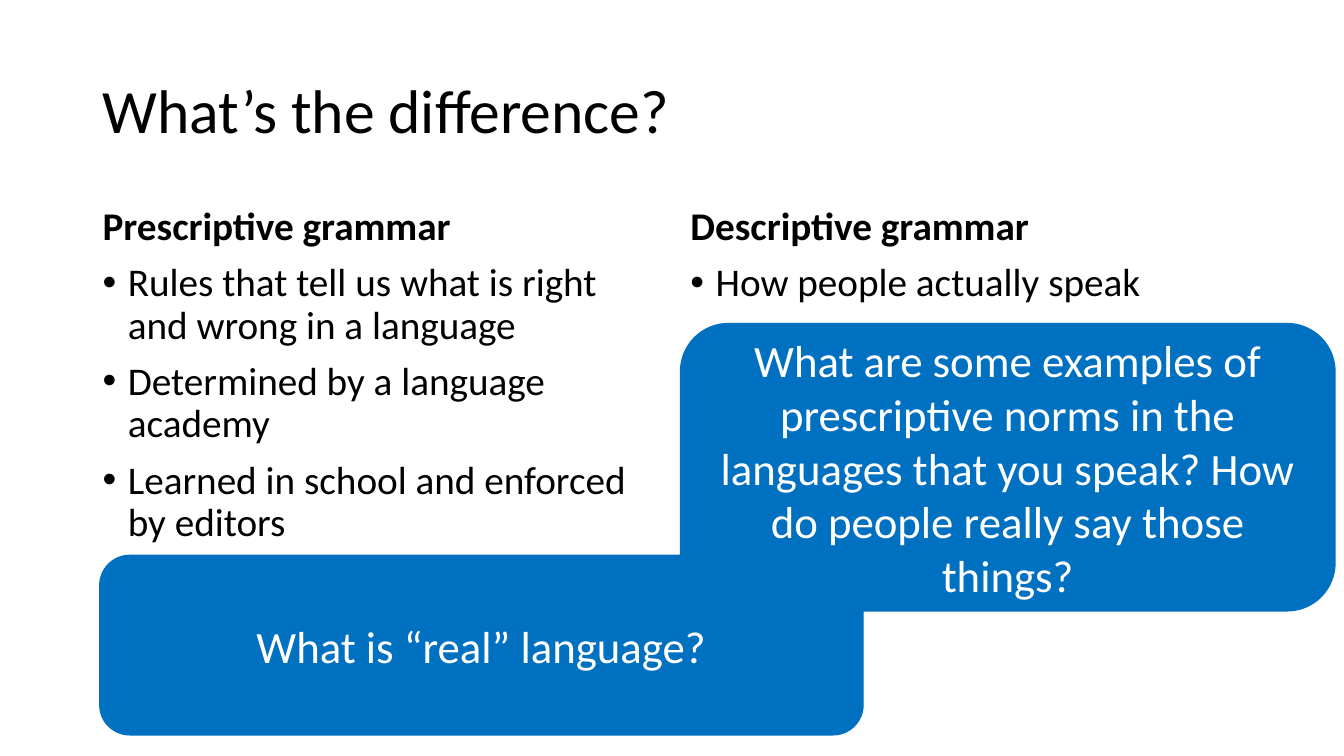
"""Build the slide comparing prescriptive and descriptive grammar."""
from dataclasses import dataclass

from lxml import etree
from pptx import Presentation
from pptx.dml.color import RGBColor
from pptx.enum import shapes, text
from pptx.oxml import ns
from pptx.slide import Slide
from pptx.util import Inches, Pt

BLACK = RGBColor(0x00, 0x00, 0x00)
WHITE = RGBColor(0xFF, 0xFF, 0xFF)
BLUE = RGBColor(0x00, 0x70, 0xC0)
FONT = "Calibri"
LINE_SPACING = 0.9
BULLET_INDENT = Inches(0.25)


@dataclass(frozen=True)
class Box:
    left: float
    top: float
    width: float
    height: float

    def lengths(self) -> tuple:
        return tuple(Inches(n) for n in (self.left, self.top, self.width, self.height))


@dataclass(frozen=True)
class Column:
    box: Box
    heading: str
    points: tuple[str, ...]


@dataclass(frozen=True)
class Question:
    box: Box
    wording: str


TITLE = "What’s the difference?"
TITLE_BOX = Box(0.92, 0.4, 11.5, 1.45)
COLUMNS = (
    Column(Box(0.92, 2, 5.67, 4.76), "Prescriptive grammar", (
        "Rules that tell us what is right and wrong in a language",
        "Determined by a language academy",
        "Learned in school and enforced by editors",
    )),
    Column(Box(6.75, 2, 5.67, 4.76), "Descriptive grammar", (
        "How people actually speak",
    )),
)
QUESTIONS = (
    Question(Box(6.75, 3.21, 6.49, 2.85),
             "What are some examples of prescriptive norms in the languages "
             "that you speak? How do people really say those things?"),
    Question(Box(0.99, 5.51, 7.57, 1.78), "What is “real” language?"),
)


def set_font(paragraph, size: int, color: RGBColor, bold: bool = False) -> None:
    font = paragraph.font
    font.name = FONT
    font.size = Pt(size)
    font.bold = bold
    font.color.rgb = color


def add_bullet(paragraph) -> None:
    properties = paragraph._p.get_or_add_pPr()
    properties.set("marL", str(BULLET_INDENT))
    properties.set("indent", str(-BULLET_INDENT))
    etree.SubElement(properties, ns.qn("a:buFont"), typeface="Arial")
    etree.SubElement(properties, ns.qn("a:buChar"), char="•")


def add_text_frame(slide: Slide, box: Box):
    frame = slide.shapes.add_textbox(*box.lengths()).text_frame
    frame.word_wrap = True
    return frame


def add_title(slide: Slide) -> None:
    frame = add_text_frame(slide, TITLE_BOX)
    frame.vertical_anchor = text.MSO_ANCHOR.MIDDLE
    paragraph = frame.paragraphs[0]
    paragraph.text = TITLE
    paragraph.line_spacing = LINE_SPACING
    set_font(paragraph, 44, BLACK)


def add_column(slide: Slide, column: Column) -> None:
    frame = add_text_frame(slide, column.box)
    heading = frame.paragraphs[0]
    heading.text = column.heading
    heading.line_spacing = LINE_SPACING
    set_font(heading, 28, BLACK, bold=True)
    for point in column.points:
        paragraph = frame.add_paragraph()
        paragraph.text = point
        paragraph.line_spacing = LINE_SPACING
        paragraph.space_before = Pt(10)
        add_bullet(paragraph)
        set_font(paragraph, 28, BLACK)


def add_question(slide: Slide, question: Question) -> None:
    shape = slide.shapes.add_shape(
        shapes.MSO_SHAPE.FLOWCHART_ALTERNATE_PROCESS, *question.box.lengths())
    shape.shadow.inherit = False
    shape.fill.solid()
    shape.fill.fore_color.rgb = BLUE
    shape.line.color.rgb = BLUE
    shape.line.width = Pt(1)
    frame = shape.text_frame
    frame.word_wrap = True
    frame.vertical_anchor = text.MSO_ANCHOR.MIDDLE
    paragraph = frame.paragraphs[0]
    paragraph.text = question.wording
    paragraph.alignment = text.PP_ALIGN.CENTER
    set_font(paragraph, 32, WHITE)


def main() -> None:
    presentation = Presentation()
    presentation.slide_width = Inches(13.33)
    presentation.slide_height = Inches(7.5)
    slide = presentation.slides.add_slide(presentation.slide_layouts[6])
    add_title(slide)
    for column in COLUMNS:
        add_column(slide, column)
    for question in QUESTIONS:
        add_question(slide, question)
    presentation.save("out.pptx")


if __name__ == "__main__":
    main()
